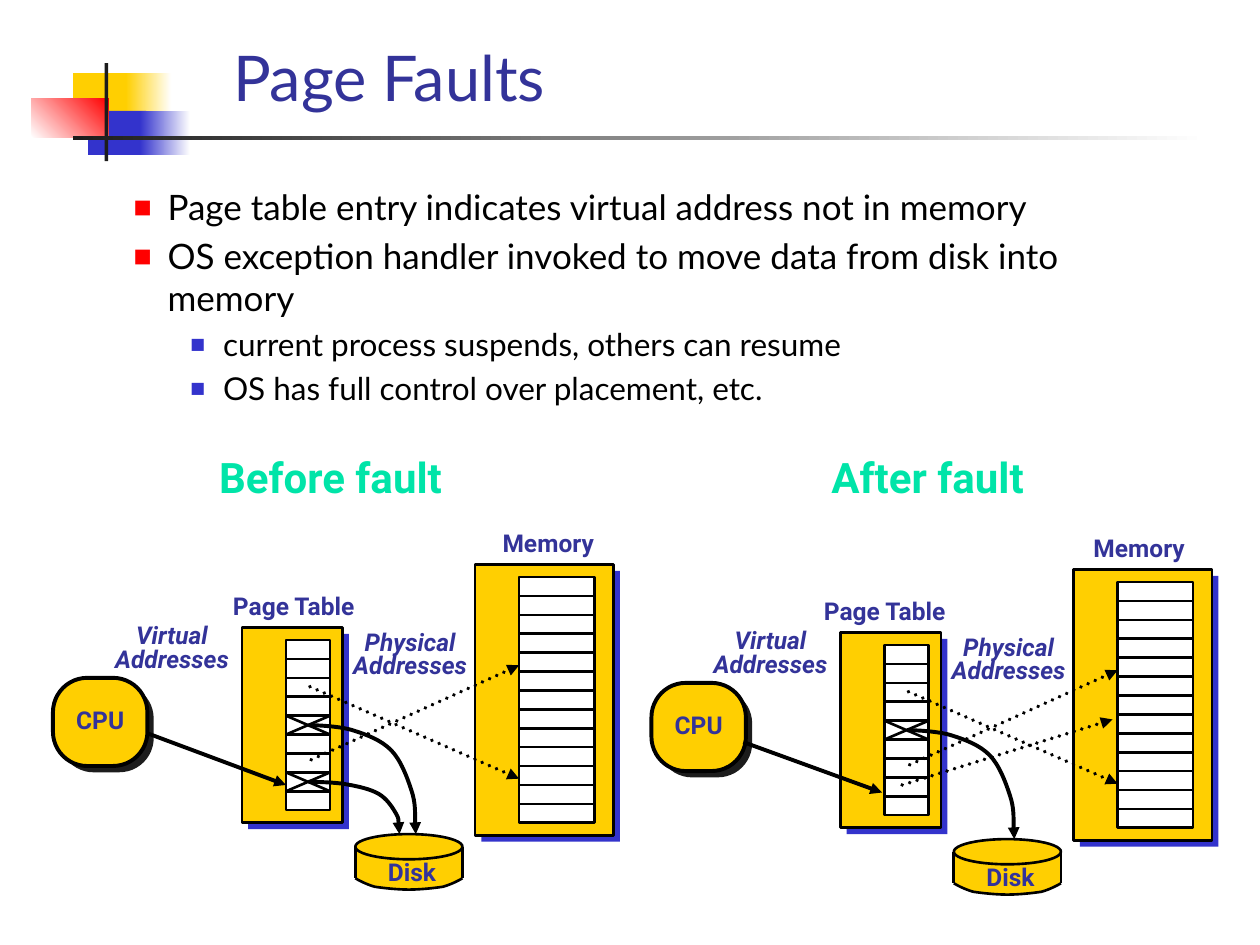
from lxml import etree
from pptx import Presentation
from pptx.dml.color import RGBColor
from pptx.enum.dml import MSO_LINE
from pptx.enum.shapes import MSO_CONNECTOR, MSO_SHAPE
from pptx.enum.text import MSO_ANCHOR, MSO_AUTO_SIZE, PP_ALIGN
from pptx.oxml.ns import qn
from pptx.util import Inches, Pt

RECT, ROUNDED, OVAL = MSO_SHAPE.RECTANGLE, MSO_SHAPE.ROUNDED_RECTANGLE, MSO_SHAPE.OVAL
STRAIGHT = MSO_CONNECTOR.STRAIGHT
DOTTED = MSO_LINE.ROUND_DOT
TOP, MIDDLE, BOTTOM = MSO_ANCHOR.TOP, MSO_ANCHOR.MIDDLE, MSO_ANCHOR.BOTTOM
FIT, NO_FIT = MSO_AUTO_SIZE.SHAPE_TO_FIT_TEXT, MSO_AUTO_SIZE.NONE
LEFT, CENTER = PP_ALIGN.LEFT, PP_ALIGN.CENTER

GOLD = RGBColor(0xFF, 0xCF, 0x01)
BLUE = RGBColor(0x33, 0x33, 0xCC)
NAVY = RGBColor(0x33, 0x33, 0x99)
RED = RGBColor(0xFF, 0x00, 0x00)
GREEN = RGBColor(0x00, 0xE4, 0xA8)
DARK = RGBColor(0x1C, 0x1C, 0x1C)
BLACK = RGBColor(0x00, 0x00, 0x00)
WHITE = RGBColor(0xFF, 0xFF, 0xFF)

TITLE_FONT, LABEL_FONT = "Lato", "Roboto"
THIN, THICK = 1.5, 2.25
ROW, SHADOW = 0.15, 0.05
CELLS_X, CELLS_Y = 1.85, 0.6
DISK_X, DISK_Y, DISK_W = 2.4, 2.14, 0.85

FAULT_CURVE = [(0, 0), (0.07, 0), (0.3, 0.01), (0.42, 0.05), (0.55, 0.09),
               (0.68, 0.14), (0.77, 0.23), (0.86, 0.32), (0.92, 0.48),
               (0.96, 0.6), (1, 0.72), (0.99, 0.91), (1, 1)]
HALF_RIM = [(0, 0), (0.02, 0.12), (0.09, 0.5), (0.18, 0.75), (0.27, 0.88), (0.4, 1)]
RIM_CURVE = HALF_RIM + [(0.5, 1)] + [(1 - x, y) for x, y in reversed(HALF_RIM)]


def add_box(sl, kind, x, y, w, h, fill, line=None, fade=None, angle=0):
    sp = sl.shapes.add_shape(kind, Inches(x), Inches(y), Inches(w), Inches(h))
    sp.shadow.inherit = False
    if fade is None:
        sp.fill.solid()
        sp.fill.fore_color.rgb = fill
    else:
        sp.fill.gradient()
        sp.fill.gradient_angle = angle
        for stop, color in zip(sp.fill.gradient_stops, (fill, fade)):
            stop.color.rgb = color
    if line is None:
        sp.line.fill.background()
    else:
        set_line(sp, line)
    return sp


def set_line(sp, width, arrow=False, dash=None):
    sp.line.color.rgb = BLACK
    sp.line.width = Pt(width)
    ln = sp.element.spPr.find(qn("a:ln"))
    if dash is not None:
        sp.line.dash_style = dash
        ln.set("cap", "rnd")
    if arrow:
        etree.SubElement(ln, qn("a:tailEnd"), type="triangle")


def add_line(sl, x1, y1, x2, y2, width=THIN, arrow=False, dash=None):
    sp = sl.shapes.add_connector(STRAIGHT, *map(Inches, (x1, y1, x2, y2)))
    set_line(sp, width, arrow, dash)
    etree.SubElement(sp.element.spPr, qn("a:effectLst"))


def bend_segments(sp):
    lines = list(sp.element.iter(qn("a:lnTo")))
    for i in range(0, len(lines), 3):
        curve = etree.Element(qn("a:cubicBezTo"))
        lines[i].addprevious(curve)
        for line in lines[i:i + 3]:
            curve.append(line[0])
            line.getparent().remove(line)


def add_curve(sl, shares, x, y, w, h, width, fill=None, arrow=False):
    pts = [(Inches(x + w * px), Inches(y + h * py)) for px, py in shares]
    builder = sl.shapes.build_freeform(*pts[0])
    builder.add_line_segments(pts[1:], close=False)
    sp = builder.convert_to_shape()
    bend_segments(sp)
    sp.shadow.inherit = False
    if fill is None:
        sp.fill.background()
    else:
        sp.fill.solid()
        sp.fill.fore_color.rgb = fill
    set_line(sp, width, arrow)


def style(p, size, font, color, bold=False, italic=False, align=LEFT, spacing=None):
    p.alignment = align
    if spacing:
        p.line_spacing = spacing
    for r in p.runs:
        r.font.size, r.font.name = Pt(size), font
        r.font.bold, r.font.italic = bold, italic
        r.font.color.rgb = color


def add_label(sl, text, x, y, w, h=0.31, size=14, color=NAVY, italic=False):
    tf = sl.shapes.add_textbox(Inches(x), Inches(y), Inches(w), Inches(h)).text_frame
    tf.word_wrap, tf.auto_size = False, FIT
    tf.text = text
    for p in tf.paragraphs:
        style(p, size, LABEL_FONT, color, True, italic,
              CENTER if italic else LEFT, 0.8 if italic else 0.9)


def add_stack(sl, x, y, w, h, inset, cell_w, rows):
    add_box(sl, RECT, x + SHADOW, y + SHADOW, w, h, BLUE)
    add_box(sl, RECT, x, y, w, h, GOLD, THIN)
    for i in range(rows):
        add_box(sl, RECT, x + inset, y + 0.1 + i * ROW, cell_w, ROW, WHITE, THIN)


def add_cpu(sl, x, y):
    size = 0.75, 0.7
    back = add_box(sl, ROUNDED, x + SHADOW, y + SHADOW, *size, DARK)
    front = add_box(sl, ROUNDED, x, y, *size, GOLD, THICK)
    back.adjustments[0] = front.adjustments[0] = 0.39
    tf = front.text_frame
    tf.word_wrap, tf.vertical_anchor = False, MIDDLE
    tf.text = "CPU"
    style(tf.paragraphs[0], 14, LABEL_FONT, NAVY, True, align=CENTER, spacing=0.9)


def add_disk(sl, x, y):
    add_box(sl, RECT, x, y + 0.1, DISK_W, 0.25, GOLD)
    add_box(sl, OVAL, x, y, DISK_W, 0.2, GOLD, THIN)
    for side in (x, x + DISK_W):
        add_line(sl, side, y + 0.1, side, y + 0.35)
    add_curve(sl, RIM_CURVE, x, y + 0.35, DISK_W, 0.09, THIN, GOLD)
    add_label(sl, "Disk", x + 0.16, y + 0.16, 0.61)


def add_panel(sl, x, y, faults, mappings, access, label_shift=0):
    add_cpu(sl, x, y + 0.9)
    add_stack(sl, x + 3.35, y, 1.1, 2.15, 0.35, 0.6, 13)
    add_label(sl, "Memory", x + 3.47 + label_shift, y - 0.31, 0.94)
    add_stack(sl, x + 1.5, y + 0.5, 0.8, 1.55, 0.35, 0.35, 9)
    add_label(sl, "Page Table", x + 1.33 + label_shift, y + 0.19, 1.22)
    for x1, y1, x2, y2 in mappings:
        add_line(sl, x + x1, y + y1, x + x2, y + y2, THICK, True, DOTTED)
    add_disk(sl, x + DISK_X, y + DISK_Y)
    for row, reach in faults.items():
        left, top = x + CELLS_X, y + CELLS_Y + row * ROW
        add_line(sl, left, top + ROW, left + 0.35, top)
        add_line(sl, left + 0.35, top + ROW, left, top)
        start = top + ROW / 2
        add_curve(sl, FAULT_CURVE, left + 0.18, start, reach,
                  y + DISK_Y - start, THICK, arrow=True)
    add_label(sl, "Virtual\nAddresses", x + 0.35, y + 0.44, 1.19, 0.47, italic=True)
    add_label(sl, "Physical\nAddresses", x + 2.24, y + 0.49, 1.19, 0.47, italic=True)
    x1, y1, x2, y2 = access
    add_line(sl, x + x1, y + y1, x + x2, y + y2, THICK, True)


def add_decoration(sl):
    add_box(sl, RECT, 0.58, 0.58, 0.48, 0.35, GOLD)
    add_box(sl, RECT, 1, 0.58, 0.36, 0.35, GOLD, fade=WHITE)
    add_box(sl, RECT, 0.7, 0.88, 0.46, 0.35, BLUE)
    add_box(sl, RECT, 1.11, 0.88, 0.4, 0.35, BLUE, fade=WHITE)
    add_box(sl, RECT, 0.25, 0.78, 0.61, 0.31, WHITE, fade=RED, angle=45)
    add_box(sl, RECT, 0.83, 0.5, 0.03, 0.78, DARK)
    add_box(sl, RECT, 0.58, 1.08, 9, 0.03, DARK, fade=WHITE)


def fill_placeholder(sp, text, box, anchor):
    sp.left, sp.top, sp.width, sp.height = map(Inches, box)
    tf = sp.text_frame
    tf.text = text
    tf.word_wrap, tf.vertical_anchor, tf.auto_size = True, anchor, NO_FIT
    return tf.paragraphs


def set_title(sl, text):
    p, = fill_placeholder(sl.shapes.title, text, (1.75, 0.33, 5, 0.63), BOTTOM)
    style(p, 36, TITLE_FONT, NAVY)


def set_bullets(sl, items):
    text = "\n".join(line for line, _ in items)
    paragraphs = fill_placeholder(sl.placeholders[1], text, (0.42, 1.42, 9, 2), TOP)
    looks = [(20, 0.81, -0.27, RED, 55), (18, 1.25, -0.26, BLUE, 50)]
    for i, (p, (_, level)) in enumerate(zip(paragraphs, items)):
        size, margin, indent, color, share = looks[level]
        p.level = level
        style(p, size, TITLE_FONT, BLACK)
        p.space_before = Pt(size * 0.2 if i else 0)
        pPr = p._p.get_or_add_pPr()
        pPr.set("marL", str(Inches(margin)))
        pPr.set("indent", str(Inches(indent)))
        clr = etree.SubElement(pPr, qn("a:buClr"))
        etree.SubElement(clr, qn("a:srgbClr"), val=str(color))
        etree.SubElement(pPr, qn("a:buSzPct"), val=str(share * 1000))
        etree.SubElement(pPr, qn("a:buFont"), typeface=TITLE_FONT)
        etree.SubElement(pPr, qn("a:buChar"), char="■")


def main():
    prs = Presentation()
    prs.slide_width, prs.slide_height = Inches(10), Inches(7.5)
    sl = prs.slides.add_slide(prs.slide_layouts[1])
    add_decoration(sl)
    set_title(sl, "Page Faults")
    set_bullets(sl, [
        ("Page table entry indicates virtual address not in memory", 0),
        ("OS exception handler invoked to move data from disk into memory", 0),
        ("current process suspends, others can resume", 1),
        ("OS has full control over placement, etc.", 1)])
    mappings = [(2.04, 0.97, 3.7, 1.7), (2.05, 1.55, 3.7, 0.8)]
    add_panel(sl, 0.42, 4.48, {4: 0.85, 7: 0.72}, mappings, (0.75, 1.34, 1.85, 1.75))
    add_panel(sl, 5.17, 4.52, {4: 0.85}, mappings + [(1.99, 1.71, 3.66, 1.19)],
              (0.73, 1.37, 1.83, 1.77), -0.06)
    add_label(sl, "Before fault", 1.64, 3.58, 2.05, 0.46, 24, GREEN)
    add_label(sl, "After fault", 6.5, 3.58, 1.77, 0.46, 24, GREEN)
    prs.save("out.pptx")


if __name__ == "__main__":
    main()
